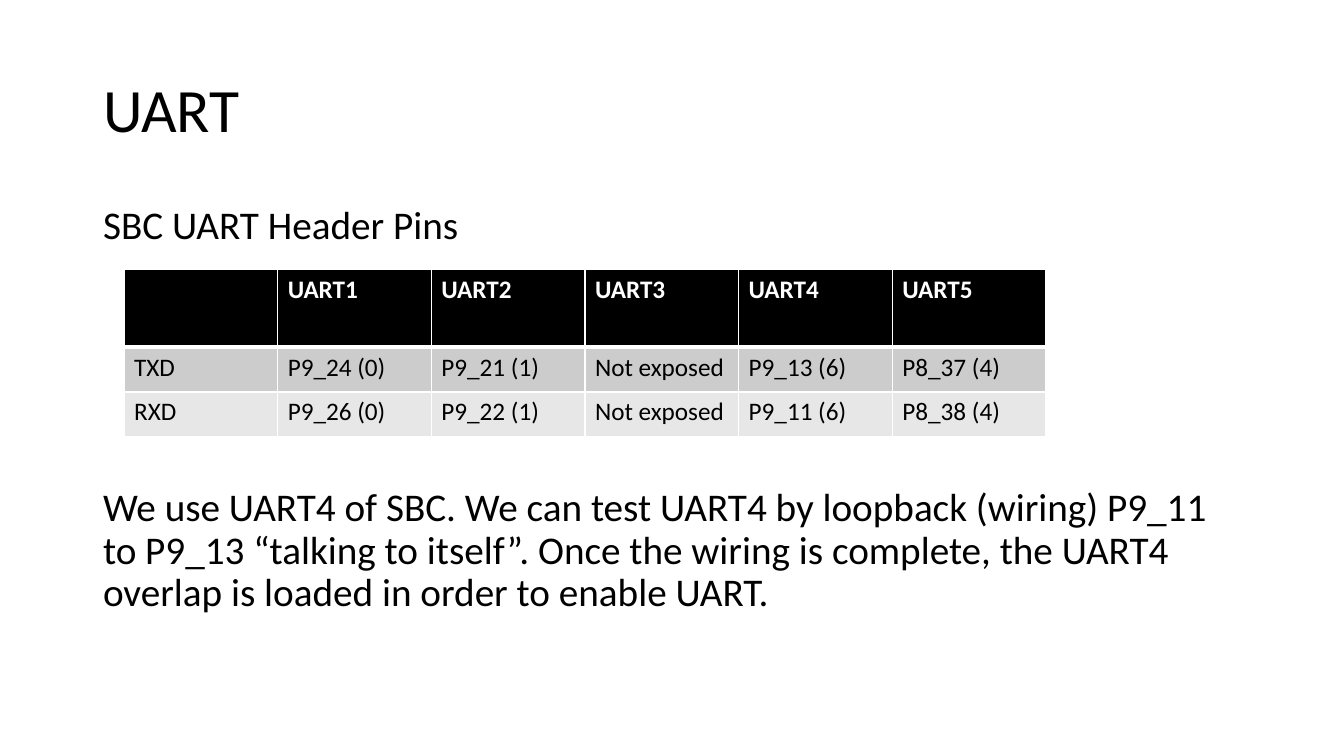
from lxml.etree import SubElement
from pptx import Presentation
from pptx.dml.color import RGBColor
from pptx.enum.text import MSO_ANCHOR, MSO_AUTO_SIZE, PP_ALIGN
from pptx.oxml.ns import qn
from pptx.util import Emu, Pt

EMU_PER_PX = 914400 / 100.8
FONT = "Calibri"
BLACK, WHITE = "000000", "FFFFFF"
ROW_FILLS = [BLACK, "CCCCCC", "E7E7E7"]
ROW_HEIGHTS = [78, 45, 45]
PINS = [
    ["", "UART1", "UART2", "UART3", "UART4", "UART5"],
    ["TXD", "P9_24 (0)", "P9_21 (1)", "Not exposed", "P9_13 (6)", "P8_37 (4)"],
    ["RXD", "P9_26 (0)", "P9_22 (1)", "Not exposed", "P9_11 (6)", "P8_38 (4)"],
]
BODY = [
    ("SBC UART Header Pins", 10),
    ("We use UART4 of SBC. We can test UART4 by loopback (wiring) P9_11 to P9_13 "
     "“talking to itself”. Once the wiring is complete, the UART4 overlap is loaded "
     "in order to enable UART.", 171),
]


def px(length):
    return Emu(round(length * EMU_PER_PX))


def color(code):
    return RGBColor.from_string(code)


def set_font(paragraph, size, code, bold=False):
    font = paragraph.font
    font.name, font.size, font.bold = FONT, Pt(size), bold
    font.color.rgb = color(code)


def place(shape, box):
    shape.left, shape.top, shape.width, shape.height = map(px, box)
    shape.text_frame.word_wrap = True
    shape.text_frame.auto_size = MSO_AUTO_SIZE.NONE


def add_title(slide, text, box):
    title = slide.shapes.title
    place(title, box)
    title.text_frame.vertical_anchor = MSO_ANCHOR.MIDDLE
    title.text_frame.text = text
    paragraph = title.text_frame.paragraphs[0]
    paragraph.alignment = PP_ALIGN.LEFT
    paragraph.line_spacing = 0.9
    set_font(paragraph, 44, BLACK)


def add_body(slide, entries, box):
    body = slide.placeholders[1]
    place(body, box)
    body.text_frame.text = "\n".join(text for text, _ in entries)
    for paragraph, (_, space) in zip(body.text_frame.paragraphs, entries):
        properties = paragraph._p.get_or_add_pPr()
        properties.set("marL", "0")
        properties.set("indent", "0")
        SubElement(properties, qn("a:buNone"))
        paragraph.line_spacing = 0.9
        paragraph.space_before = Pt(space)
        set_font(paragraph, 28, BLACK)


def set_borders(cell, bottom_width):
    properties = cell._tc.get_or_add_tcPr()
    widths = {"a:lnL": 1, "a:lnR": 1, "a:lnT": 1, "a:lnB": bottom_width}
    for position, (tag, width) in enumerate(widths.items()):
        line = SubElement(properties, qn(tag), w=str(Pt(width)))
        fill = SubElement(line, qn("a:solidFill"))
        SubElement(fill, qn("a:srgbClr"), val=WHITE)
        properties.insert(position, line)


def add_pin_table(slide, rows, box):
    table = slide.shapes.add_table(len(rows), len(rows[0]), *map(px, box)).table
    for column in table.columns:
        column.width = px(box[2] / len(rows[0]))
    for index, texts in enumerate(rows):
        header = index == 0
        table.rows[index].height = px(ROW_HEIGHTS[index])
        for column, text in enumerate(texts):
            cell = table.cell(index, column)
            cell.text = text
            cell.fill.solid()
            cell.fill.fore_color.rgb = color(ROW_FILLS[index])
            set_font(cell.text_frame.paragraphs[0], 18, WHITE if header else BLACK, header)
            set_borders(cell, 3 if header else 1)


def build_uart_slide(presentation, box):
    left, top, width, height = box
    slide = presentation.slides.add_slide(presentation.slide_layouts[1])
    add_title(slide, "UART", (left, top, width, 146))
    add_body(slide, BODY, (left, top + 161, width, height - 161))
    add_pin_table(slide, PINS, (left + 31, top + 229, 922, sum(ROW_HEIGHTS)))


def main():
    presentation = Presentation()
    presentation.slide_width, presentation.slide_height = px(1344), px(756)
    build_uart_slide(presentation, (93, 40, 1159, 641))
    presentation.save("out.pptx")


if __name__ == "__main__":
    main()
